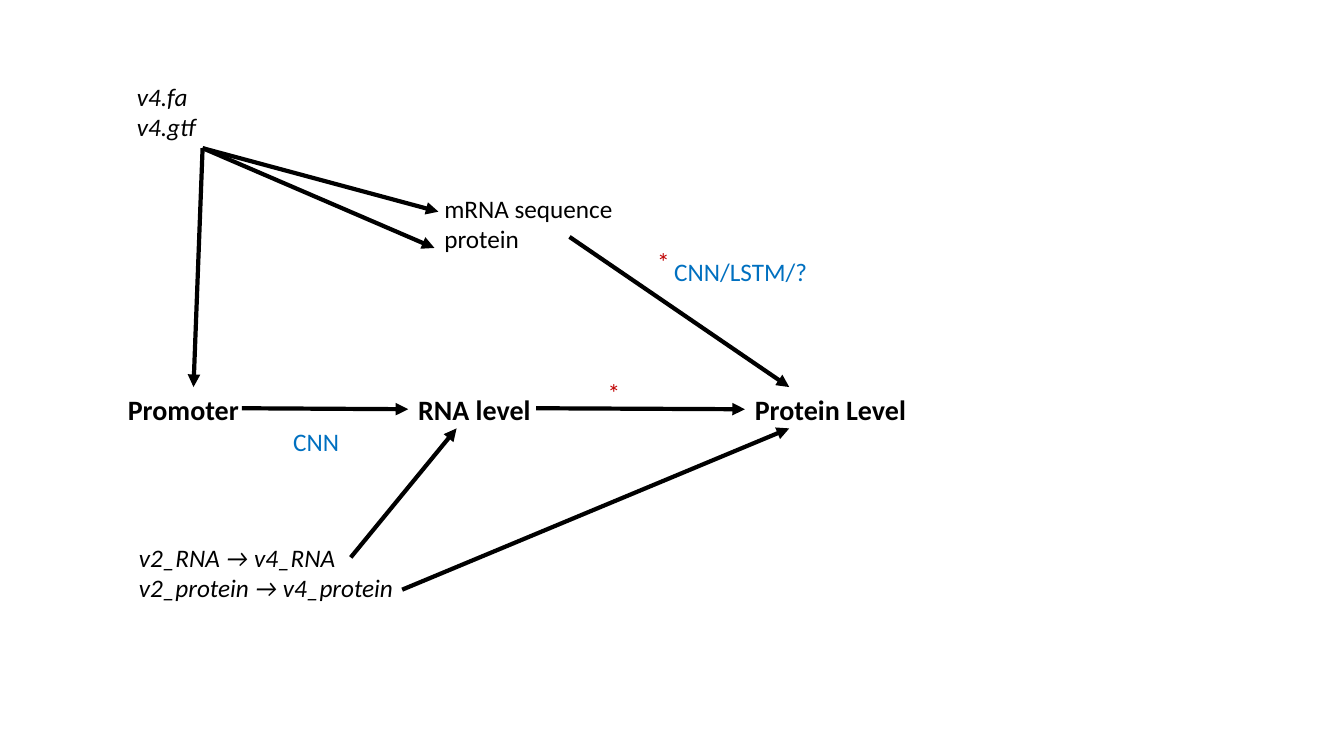
"""Draw a flow from genome files and promoters to RNA and protein levels."""
import lxml.etree
import pptx
import pptx.dml.color
import pptx.enum.shapes
import pptx.enum.text
import pptx.oxml.ns
import pptx.util

deck = pptx.Presentation()
deck.slide_width = pptx.util.Inches(13.333)
deck.slide_height = pptx.util.Inches(7.5)
page = deck.slides.add_slide(deck.slide_layouts[6])
column = deck.slide_width / 40
row = deck.slide_height / 30
BLACK, BLUE, RED = "000000", "0070C0", "C00000"


def color(hex_string):
    return pptx.dml.color.RGBColor.from_string(hex_string)


def place(across, down):
    return round(across * column), round(down * row)


level_row, level_top, level_bottom = 15.36, 15.36, 17
stages = [("Promoter", 3.51, 4.5), ("RNA level", 12.15, 4.5), ("Protein Level", 22.17, 5.67)]
labels = [([name], left, level_row, width, 1.76, 20, BLACK, "bold")
          for name, left, width in stages]
labels += [
    (["v4.fa", "v4.gtf"], 3.78, 3.04, 4.5, 2.84, 18, BLACK, "italic"),
    (["mRNA sequence", "protein"], 12.93, 7.48, 6.33, 2.84, 18, BLACK, ""),
    (["v2_RNA → v4_RNA", "v2_protein → v4_protein"], 3.84, 21.32, 12.12, 2.84, 18, BLACK, "italic"),
    (["CNN/LSTM/?"], 19.77, 9.96, 7.44, 1.6, 18, BLUE, ""),
    (["CNN"], 8.43, 16.72, 4.5, 1.6, 18, BLUE, ""),
    (["*"], 19.26, 9.56, 1, 1.6, 18, RED, ""),
    (["*"], 17.79, 14.76, 1, 1.6, 18, RED, ""),
]
for lines, left, top, width, height, size, ink, style in labels:
    box = page.shapes.add_textbox(*place(left, top), *place(width, height))
    frame = box.text_frame
    frame.word_wrap = lines != ["*"]
    frame.auto_size = pptx.enum.text.MSO_AUTO_SIZE.SHAPE_TO_FIT_TEXT
    frame.text = "\n".join(lines)
    for para in frame.paragraphs:
        para.font.name = "Calibri"
        para.font.size = pptx.util.Pt(size)
        para.font.bold = style == "bold"
        para.font.italic = style == "italic"
        para.font.color.rgb = color(ink)

genome_files = (6.03, 5.88)
protein_above, protein_below = (23.49, level_top), (23.49, level_bottom)
arrows = [
    (genome_files, (5.76, level_top)),
    (genome_files, (13.05, 8.4)),
    (genome_files, (12.93, 9.84)),
    ((7.2, 16.2), (12.15, 16.24)),
    ((15.96, 16.2), (22.17, 16.24)),
    ((16.95, 9.4), protein_above),
    ((10.44, 22.12), (13.59, level_bottom)),
    ((11.97, 23.4), protein_below),
]
for start, end in arrows:
    arrow = page.shapes.add_connector(
        pptx.enum.shapes.MSO_CONNECTOR.STRAIGHT, *place(*start), *place(*end))
    arrow.line.color.rgb = color(BLACK)
    arrow.line.width = pptx.util.Pt(3)
    properties = arrow._element.spPr
    outline = properties.find(pptx.oxml.ns.qn("a:ln"))
    lxml.etree.SubElement(outline, pptx.oxml.ns.qn("a:tailEnd"), type="triangle")
    lxml.etree.SubElement(properties, pptx.oxml.ns.qn("a:effectLst"))

deck.save("out.pptx")
